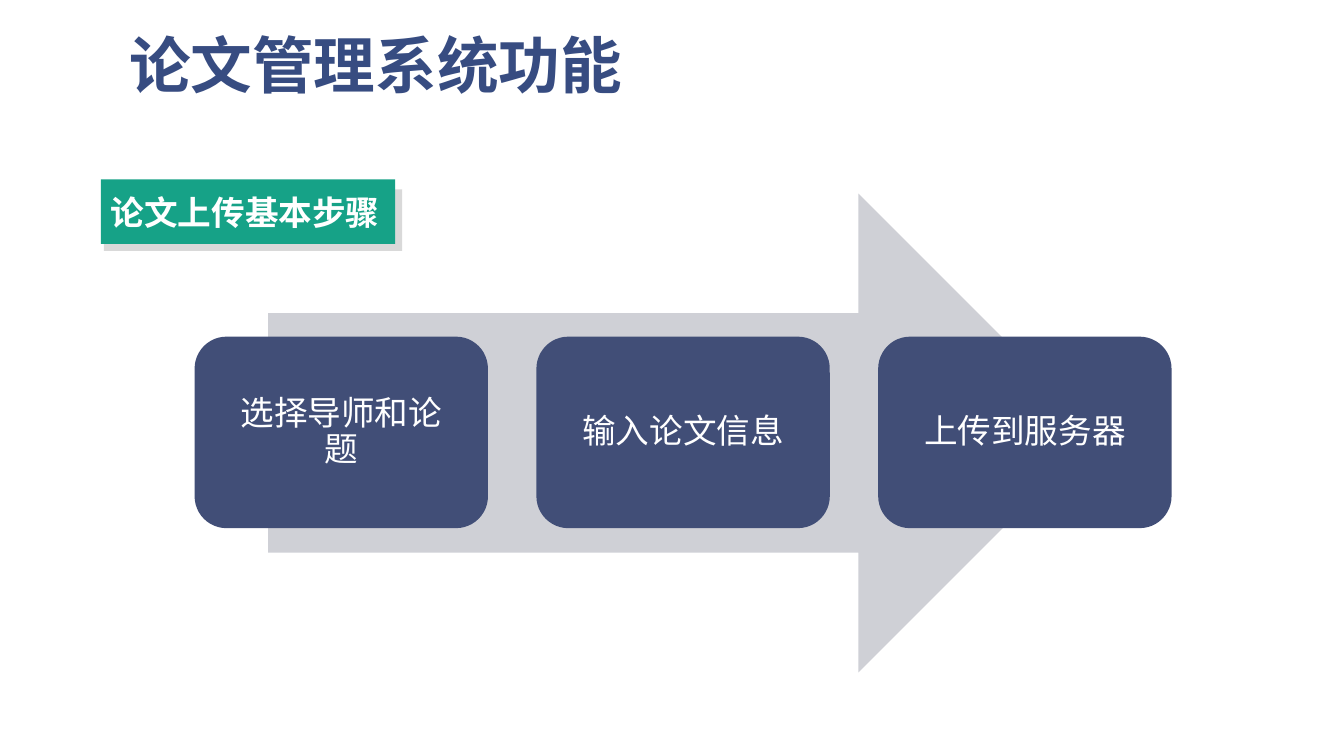
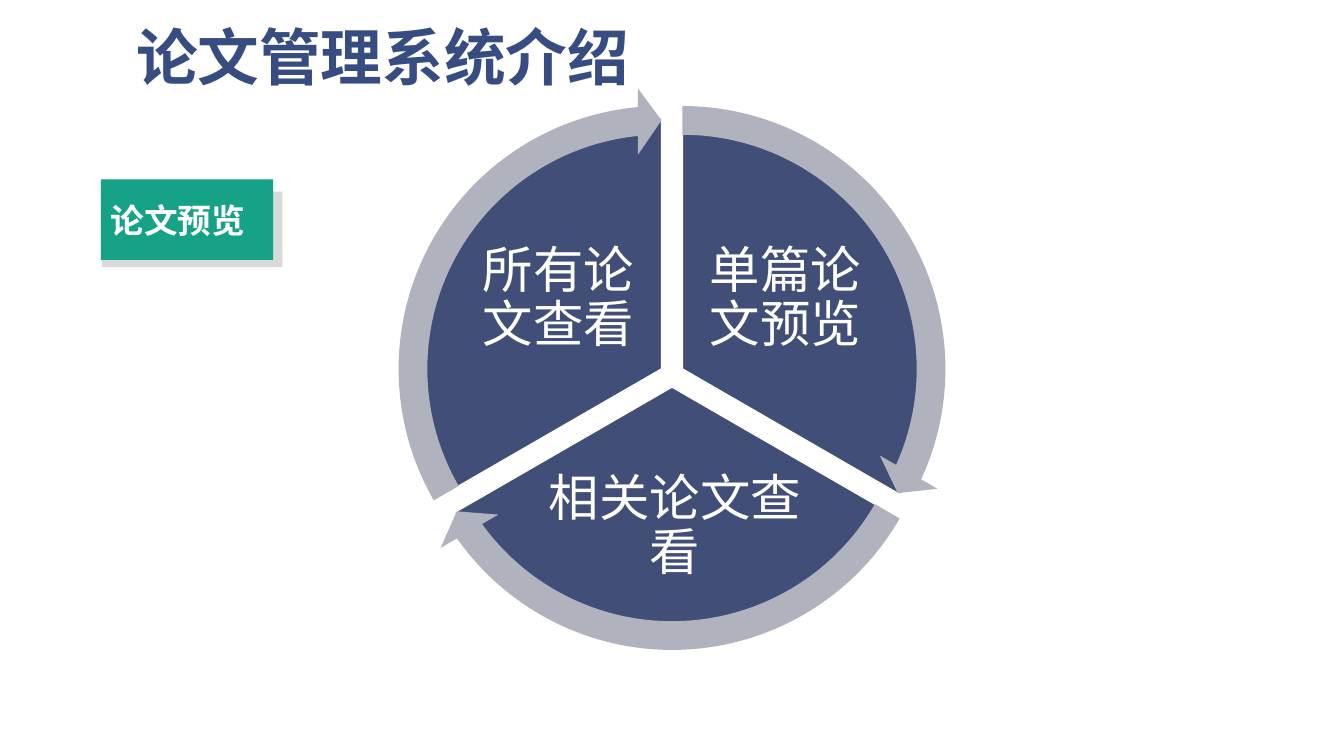
from math import cos, radians, sin

from pptx import Presentation
from pptx.dml.color import RGBColor
from pptx.enum.shapes import MSO_SHAPE as SHAPE
from pptx.enum.text import MSO_ANCHOR as ANCHOR, MSO_AUTO_SIZE as AUTO, PP_ALIGN as ALIGN
from pptx.oxml.ns import qn
from pptx.util import Inches, Pt

WHITE = RGBColor(0xFF, 0xFF, 0xFF)
TITLE_BLUE = RGBColor(0x37, 0x4C, 0x81)
NAVY = RGBColor(0x41, 0x4E, 0x77)
GREEN = RGBColor(0x16, 0xA2, 0x87)
SHADE = RGBColor(0xD9, 0xD9, 0xD9)
PALE = RGBColor(0xCF, 0xD0, 0xD6)
RING = RGBColor(0xB0, 0xB2, 0xBD)
HEAD_FONT = "Noto Sans CJK SC"
BODY_FONT = "Quicksand"


def write(sp, text, size=24, color=WHITE, font=BODY_FONT, bold=False,
          align=ALIGN.CENTER, anchor=ANCHOR.MIDDLE, spacing=0.9, inset=(0.1, 0.05)):
    tf = sp.text_frame
    tf.word_wrap = True
    tf.auto_size = AUTO.NONE
    tf.vertical_anchor = anchor
    tf.margin_left = tf.margin_right = Inches(inset[0])
    tf.margin_top = tf.margin_bottom = Inches(inset[1])
    p = tf.paragraphs[0]
    p.alignment = align
    p.line_spacing = spacing
    r = p.add_run()
    r.text = text
    r.font.name = font
    r.font.size = Pt(size)
    r.font.bold = bold
    r.font.color.rgb = color
    ea = r.font._element.makeelement(qn("a:ea"), {"typeface": HEAD_FONT})
    r.font._element.find(qn("a:latin")).addnext(ea)


class Deck:
    def __init__(self):
        self.prs = Presentation()
        self.prs.slide_width = Inches(13.33)
        self.prs.slide_height = Inches(7.5)
        self.s = None

    def slide(self, title, *box):
        self.s = self.prs.slides.add_slide(self.prs.slide_layouts[5])
        sp = self.s.shapes.title
        sp.left, sp.top, sp.width, sp.height = map(Inches, box)
        write(sp, title, size=44, color=TITLE_BLUE, font=HEAD_FONT, bold=True,
              align=ALIGN.LEFT, anchor=ANCHOR.BOTTOM, spacing=0.85, inset=(0.13, 0.07))

    def shape(self, kind, box, fill, adjust=(), line=None):
        sp = self.s.shapes.add_shape(kind, *map(Inches, box))
        sp.shadow.inherit = False
        sp.fill.solid()
        sp.fill.fore_color.rgb = fill
        if line is None:
            sp.line.fill.background()
        else:
            sp.line.color.rgb = line
            sp.line.width = Pt(1)
        for i, value in enumerate(adjust):
            sp.adjustments[i] = value
        return sp

    def label(self, text, box, shade):
        self.shape(SHAPE.RECTANGLE, shade, SHADE)
        sp = self.shape(SHAPE.RECTANGLE, box, GREEN)
        write(sp, text, font=HEAD_FONT, bold=True, align=ALIGN.LEFT, spacing=1.0)

    def text(self, text, box, **style):
        write(self.s.shapes.add_textbox(*map(Inches, box)), text, **style)

    def steps(self, names):
        self.shape(SHAPE.RIGHT_ARROW, (2.66, 1.92, 8.23, 4.75), PALE)
        for i, name in enumerate(names):
            box = (1.93 + 3.39 * i, 3.34, 2.91, 1.9)
            write(self.shape(SHAPE.ROUNDED_RECTANGLE, box, NAVY), name, inset=(0.2, 0.2))

    def cycle(self, sectors):
        full, third, head = 216, 72, 3.275
        rings = []
        for i, (name, text_box) in enumerate(sectors):
            start = (162 + third * i) % full
            end = (start + third) % full
            middle = radians((start + third / 2) * 360 / full)
            x = 6.665 + 0.12 * cos(middle)
            y = 3.72 + 0.12 * sin(middle)
            self.shape(SHAPE.PIE, (x - 2.49, y - 2.49, 4.98, 4.98), NAVY,
                       (start, end), WHITE)
            self.text(name, text_box, size=36, inset=(0.05, 0.05))
            rings.append(((x - 2.795, y - 2.795, 5.59, 5.59),
                          (0.051, head, end - head, start, 0.059)))
        for box, adjust in rings:
            self.shape(SHAPE.CIRCULAR_ARROW, box, RING, adjust)


def main():
    deck = Deck()
    deck.slide("论文管理系统功能", 1.15, 0.01, 11.11, 1.06)
    deck.steps(["选择导师和论题", "输入论文信息", "上传到服务器"])
    deck.label("论文上传基本步骤", (1, 1.78, 2.92, 0.64), (1.03, 1.88, 2.96, 0.61))

    deck.slide("论文管理系统介绍", 1.22, 0.08, 11.11, 0.91)
    deck.label("论文预览", (1, 1.78, 1.71, 0.8), (1.01, 1.9, 1.79, 0.75))
    deck.cycle([
        ("单篇论文预览", (6.9, 2.23, 1.78, 1.48)),
        ("相关论文查看", (5.36, 4.58, 2.67, 1.3)),
        ("所有论文查看", (4.65, 2.23, 1.78, 1.48)),
    ])
    deck.prs.save("out.pptx")


if __name__ == "__main__":
    main()
